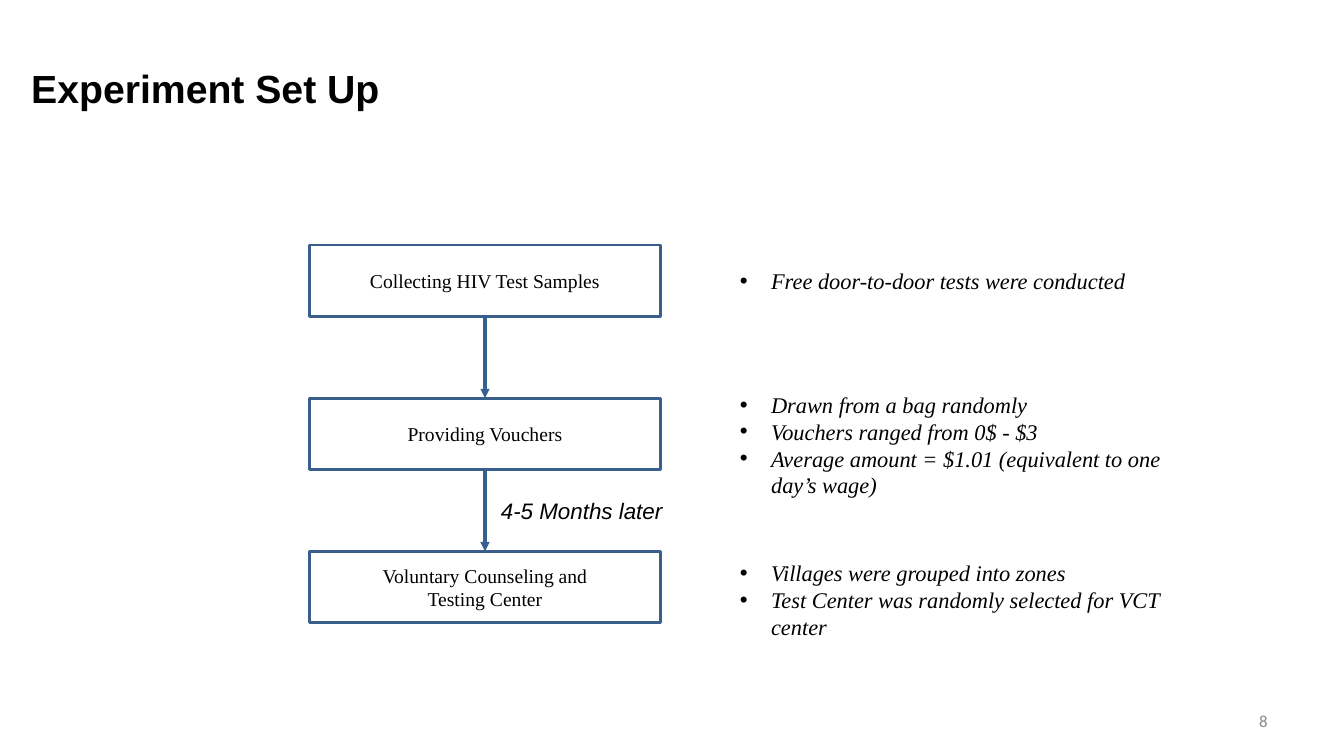
from lxml.etree import SubElement
from pptx import Presentation
from pptx.dml.color import RGBColor
from pptx.enum.shapes import MSO_CONNECTOR, MSO_SHAPE
from pptx.enum.text import MSO_ANCHOR, MSO_AUTO_SIZE, PP_ALIGN
from pptx.oxml.ns import qn
from pptx.util import Emu, Pt

EMU_PER_PX = 9144


def px(length):
    return Emu(length * EMU_PER_PX)


def color(hex_string):
    return RGBColor.from_string(hex_string)


class FlowSlide:
    SERIF, SANS, NUMBER_FONT = "Times New Roman", "Arial", "Calibri"
    TEXT, BOX_LINE, ARROW, GRAY = "000000", "3A5F8C", "376092", "888888"
    BULLET_INDENT = 31

    def __init__(self, presentation):
        self.slide = presentation.slides.add_slide(presentation.slide_layouts[5])

    def set_text(self, text_frame, text, size, font, align=PP_ALIGN.LEFT,
                 text_color=TEXT, bold=False, italic=False):
        text_frame.text = text
        for paragraph in text_frame.paragraphs:
            paragraph.alignment = align
            for run in paragraph.runs:
                run.font.size = Pt(size)
                run.font.name = font
                run.font.bold = bold
                run.font.italic = italic
                run.font.color.rgb = color(text_color)

    def title(self, text, left, top, width, height):
        shape = self.slide.shapes.title
        shape.left, shape.top = px(left), px(top)
        shape.width, shape.height = px(width), px(height)
        frame = shape.text_frame
        self.set_text(frame, text, 28, self.SANS, bold=True)
        frame.word_wrap = False
        frame.auto_size = MSO_AUTO_SIZE.SHAPE_TO_FIT_TEXT
        frame.vertical_anchor = MSO_ANCHOR.TOP

    def box(self, text, left, top, width, height):
        shape = self.slide.shapes.add_shape(
            MSO_SHAPE.RECTANGLE, px(left), px(top), px(width), px(height))
        shape.shadow.inherit = False
        shape.fill.background()
        shape.line.color.rgb = color(self.BOX_LINE)
        shape.line.width = Pt(2)
        shape.text_frame.vertical_anchor = MSO_ANCHOR.MIDDLE
        self.set_text(shape.text_frame, text, 14, self.SERIF, PP_ALIGN.CENTER)
        return shape

    def arrow(self, upper, lower):
        """Join the bottom of one box to the top of the next."""
        connector = self.slide.shapes.add_connector(MSO_CONNECTOR.STRAIGHT, 0, 0, 0, 0)
        connector.begin_connect(upper, 2)
        connector.end_connect(lower, 0)
        connector.line.color.rgb = color(self.ARROW)
        connector.line.width = Pt(2.25)
        properties = connector.element.spPr
        SubElement(properties.find(qn("a:ln")), qn("a:tailEnd"), type="triangle")
        SubElement(properties, qn("a:effectLst"))

    def text(self, text, left, top, width, height, size=16, font=SERIF, **style):
        shape = self.slide.shapes.add_textbox(px(left), px(top), px(width), px(height))
        frame = shape.text_frame
        frame.word_wrap = True
        self.set_text(frame, text, size, font, **style)
        return frame

    def bullets(self, lines, left, top, width, height):
        frame = self.text("\n".join(lines), left, top, width, height, italic=True)
        frame.auto_size = MSO_AUTO_SIZE.SHAPE_TO_FIT_TEXT
        indent = px(self.BULLET_INDENT)
        for paragraph in frame.paragraphs:
            properties = paragraph._p.get_or_add_pPr()
            properties.set("marL", str(indent))
            properties.set("indent", str(-indent))
            bullet_color = SubElement(properties, qn("a:buClr"))
            SubElement(bullet_color, qn("a:srgbClr"), val=self.TEXT)
            SubElement(properties, qn("a:buFont"), typeface=self.SANS)
            SubElement(properties, qn("a:buChar"), char="•")


STEPS = ["Collecting HIV Test Samples", "Providing Vouchers",
         "Voluntary Counseling and\nTesting Center"]
NOTES = [
    (260, 37, ["Free door-to-door tests were conducted"]),
    (383, 118, ["Drawn from a bag randomly", "Vouchers ranged from 0$ - $3",
                "Average amount = $1.01 (equivalent to one day’s wage)"]),
    (550, 91, ["Villages were grouped into zones",
               "Test Center was randomly selected for VCT center"]),
]
FIRST_STEP_TOP, STEP_PITCH = 243, 152


def main():
    presentation = Presentation()
    presentation.slide_width, presentation.slide_height = px(1333), px(750)
    flow = FlowSlide(presentation)
    flow.title("Experiment Set Up", 21, 59, 370, 104)

    boxes = [flow.box(step, 307, FIRST_STEP_TOP + index * STEP_PITCH, 348, 71)
             for index, step in enumerate(STEPS)]
    for upper, lower in zip(boxes, boxes[1:]):
        flow.arrow(upper, lower)
    flow.text("4-5 Months later", 487, 488, 197, 37, font=flow.SANS, italic=True)

    for top, height, lines in NOTES:
        flow.bullets(lines, 724, top, 474, height)

    number = flow.text("8", 956, 695, 311, 40, size=12, font=flow.NUMBER_FONT,
                       align=PP_ALIGN.RIGHT, text_color=flow.GRAY)
    number.vertical_anchor = MSO_ANCHOR.MIDDLE
    presentation.save("out.pptx")


if __name__ == "__main__":
    main()
